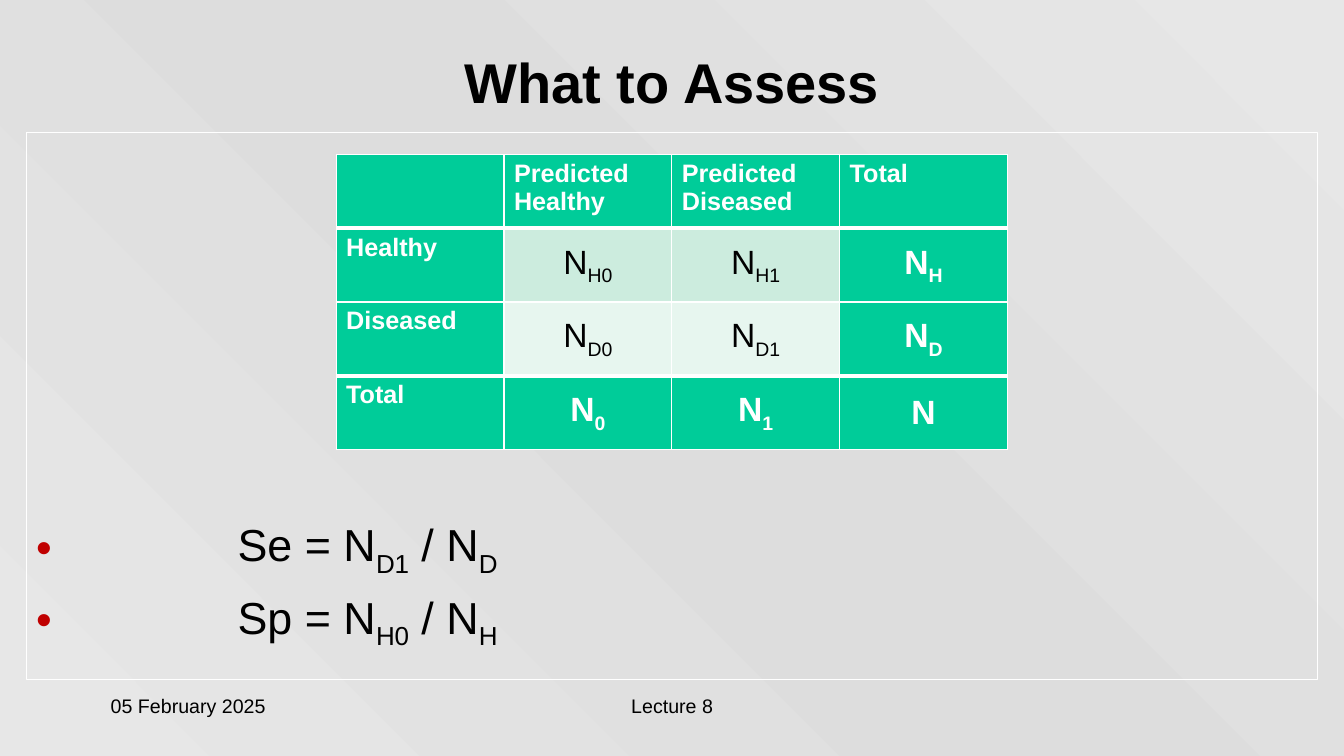
from copy import deepcopy
from lxml import etree
from pptx import Presentation
from pptx import util as u
from pptx.dml.color import RGBColor
from pptx.enum import shapes, text
from pptx.oxml import ns

TITLE = "What to Assess"
DATE = "05 February 2025"
COURSE = "Lecture 8"
GRID = [
    ["", "Predicted Healthy", "Predicted\nDiseased", "Total"],
    ["Healthy", "N|H0", "N|H1", "N|H"],
    ["Diseased", "N|D0", "N|D1", "N|D"],
    ["Total", "N|0", "N|1", "N"],
]
RATES = ["Se = N|D1| / N|D", "Sp = N|H0| / N|H"]

THEME = {
    "font": "Arial", "ink": "000000", "white": "FFFFFF", "dot": "C00000",
    "head": "00CC99", "bands": ["CCECDE", "E7F6EF"],
    "back": [(0, "E7E7E7"), (0.5, "DDDDDD"), (1, "E7E7E7")],
    "title": 40, "body": 32, "count": 24, "label": 18, "foot": 14,
}
LEFT, WIDE = u.Cm(0.66), u.Cm(32.54)
TOP, TALL = u.Cm(3.33), u.Cm(13.79)
COL, ROW = u.Cm(4.23), u.Cm(1.86)
HANG = u.Cm(5.08)
FOOT, LOW = u.Cm(17.35), u.Cm(1.27)
MID, LEAD = text.MSO_ANCHOR.MIDDLE, text.MSO_ANCHOR.TOP
CENTER, START = text.PP_ALIGN.CENTER, text.PP_ALIGN.LEFT


def rgb(key):
    return RGBColor.from_string(THEME.get(key, key))


def node(parent, tag, **attrs):
    return etree.SubElement(parent, ns.qn("a:" + tag), attrs)


def write(para, line, size, ink="ink", bold=False, align=START):
    para.alignment = align
    for i, part in enumerate(line.split("|")):
        run = para.add_run()
        run.text = part
        font = run.font
        font.name, font.size, font.bold = THEME["font"], u.Pt(THEME[size]), bold
        font.color.rgb = rgb(ink)
        if i % 2:
            run._r.get_or_add_rPr().set("baseline", "-25000")


def label(slide, box, line, size, bold=False, align=START, anchor=LEAD):
    frame = slide.shapes.add_textbox(*box).text_frame
    frame.word_wrap = True
    frame.vertical_anchor = anchor
    write(frame.paragraphs[0], line, size, bold=bold, align=align)


def paint(slide):
    fill = slide.background.fill
    fill.gradient()
    fill.gradient_angle = 45
    stops = next(slide.element.iter(ns.qn("a:gsLst")))
    stops.append(deepcopy(stops[0]))
    for stop, (pos, tone) in zip(fill.gradient_stops, THEME["back"]):
        stop.position = pos
        stop.color.rgb = rgb(tone)


def rates(slide):
    box = slide.shapes.add_shape(shapes.MSO_SHAPE.RECTANGLE, LEFT, TOP, WIDE, TALL)
    box.shadow.inherit = False
    box.fill.background()
    box.line.color.rgb = rgb("white")
    box.line.width = u.Pt(0.75)
    frame = box.text_frame
    frame.word_wrap = True
    frame.vertical_anchor = LEAD
    frame.margin_top = u.Cm(9.7)
    for i, line in enumerate(RATES):
        para = frame.add_paragraph() if i else frame.paragraphs[0]
        props = para._p.get_or_add_pPr()
        props.set("marL", str(HANG))
        props.set("indent", str(-HANG))
        node(node(props, "buClr"), "srgbClr", val=THEME["dot"])
        node(props, "buFont", typeface=THEME["font"])
        node(props, "buChar", char="•")
        if i:
            para.space_before = u.Pt(8)
        write(para, line, "body")


def edges(cell, row):
    props = cell._tc.get_or_add_tcPr()
    last = len(GRID) - 1
    thick = {"T": row in (1, last), "B": row in (0, last - 1)}
    for i, side in enumerate("LRTB"):
        width = u.Pt(3 if thick.get(side) else 1)
        line = etree.Element(ns.qn("a:ln" + side), w=str(width))
        node(node(line, "solidFill"), "srgbClr", val=THEME["white"])
        props.insert(i, line)


def counts(slide):
    rows, cols = len(GRID), len(GRID[0])
    left = LEFT + (WIDE - cols * COL) // 2
    table = slide.shapes.add_table(
        rows, cols, left, u.Cm(3.89), cols * COL, rows * ROW).table
    table.first_row = table.horz_banding = False
    for col in table.columns:
        col.width = COL
    for r, line in enumerate(GRID):
        table.rows[r].height = ROW
        for c, words in enumerate(line):
            cell = table.cell(r, c)
            count = r > 0 and c > 0
            inner = count and r < rows - 1 and c < cols - 1
            cell.fill.solid()
            cell.fill.fore_color.rgb = rgb(THEME["bands"][r - 1] if inner else "head")
            cell.vertical_anchor = MID if count else LEAD
            edges(cell, r)
            if not words:
                continue
            for i, part in enumerate(words.split("\n")):
                frame = cell.text_frame
                para = frame.add_paragraph() if i else frame.paragraphs[0]
                write(para, part, "count" if count else "label",
                      "ink" if inner else "white", not inner,
                      CENTER if count else START)


def main():
    deck = Presentation()
    deck.slide_width, deck.slide_height = u.Cm(33.87), u.Cm(19.05)
    slide = deck.slides.add_slide(deck.slide_layouts[6])
    paint(slide)
    label(slide, (LEFT, u.Cm(0.76), WIDE, u.Cm(2.57)), TITLE, "title", True, CENTER, MID)
    rates(slide)
    label(slide, (u.Cm(2.54), FOOT, u.Cm(7.06), LOW), DATE, "foot")
    label(slide, (u.Cm(11.58), FOOT, u.Cm(10.72), LOW), COURSE, "foot", align=CENTER)
    counts(slide)
    deck.save("out.pptx")


if __name__ == "__main__":
    main()
